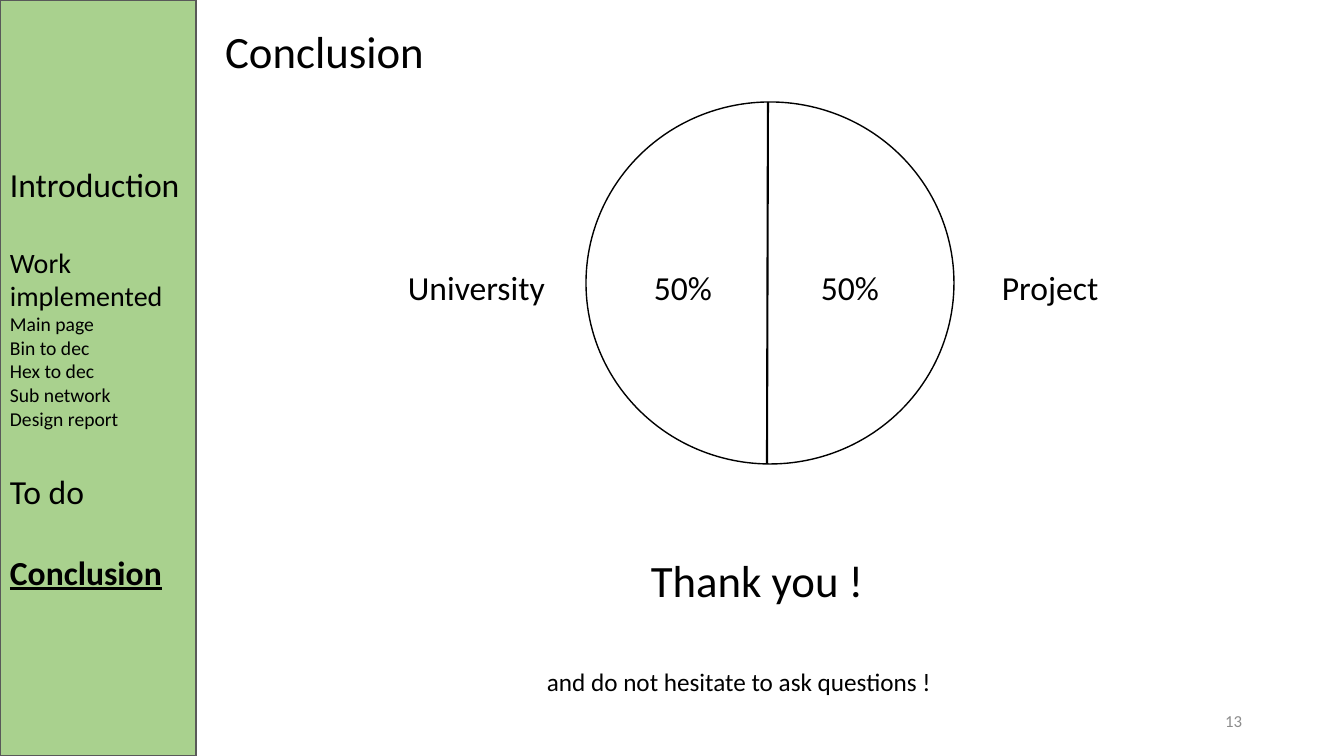
import pptx
import pptx.util
import pptx.dml.color
import pptx.enum.shapes
import pptx.enum.text
import pptx.oxml

# Content
TITLE = "Conclusion"
# text, size in pt, space before in pt, current section
AGENDA = [
    ("Introduction", 24, 0, False),
    ("Work", 20, 29, False),
    ("implemented", 20, 0, False),
    ("Main page", 14, 0, False),
    ("Bin to dec", 14, 0, False),
    ("Hex to dec", 14, 0, False),
    ("Sub network", 14, 0, False),
    ("Design report", 14, 0, False),
    ("To do", 24, 29, False),
    ("Conclusion", 24, 29, True),
]
# text, left, width
SHARES = [("University", 398, 180), ("50%", 644, 86),
          ("50%", 811, 86), ("Project", 992, 180)]
# text, left, top, width, height, size in pt
CLOSING = [("Thank you !", 641, 548, 252, 64, 32),
           ("and do not hesitate to ask questions !", 537, 661, 494, 40, 18)]
PAGE_NUMBER = "13"

FONT = "Calibri"
COLORS = {"text": "000000", "white": "FFFFFF", "sidebar": "A9D18E",
          "sidebar_line": "595959", "page_number": "8C8C8C"}

# Layout in px
WIDTH, HEIGHT = 1344, 756
SIDEBAR_WIDTH = 196
CIRCLE = (586, 102, 368, 362)
SHARE_TOP, SHARE_HEIGHT = 262, 52
EMU_PER_PX = 914400 / 100.8

ANCHOR = pptx.enum.text.MSO_ANCHOR
ALIGN = pptx.enum.text.PP_ALIGN
SHAPE = pptx.enum.shapes.MSO_SHAPE


def px(*lengths):
    return [pptx.util.Emu(round(length * EMU_PER_PX)) for length in lengths]


def rgb(name):
    return pptx.dml.color.RGBColor.from_string(COLORS[name])


def add_run(paragraph, text, size, color="text"):
    run = paragraph.add_run()
    run.text = text
    run.font.name = FONT
    run.font.size = pptx.util.Pt(size)
    run.font.color.rgb = rgb(color)
    return run


def add_label(slide, text, box, size, color="text",
              align=ALIGN.LEFT, anchor=ANCHOR.TOP):
    frame = slide.shapes.add_textbox(*px(*box)).text_frame
    frame.word_wrap = True
    frame.vertical_anchor = anchor
    frame.paragraphs[0].alignment = align
    add_run(frame.paragraphs[0], text, size, color)


def add_outlined(slide, kind, box, fill, line):
    shape = slide.shapes.add_shape(kind, *px(*box))
    shape.shadow.inherit = False
    shape.fill.solid()
    shape.fill.fore_color.rgb = rgb(fill)
    shape.line.color.rgb = rgb(line)
    shape.line.width = pptx.util.Pt(1)
    return shape


def add_title(slide):
    title = slide.shapes.title
    title.left, title.top, title.width, title.height = px(215, 19, 1012, 64)
    frame = title.text_frame
    frame.auto_size = pptx.enum.text.MSO_AUTO_SIZE.NONE
    frame.vertical_anchor = ANCHOR.TOP
    frame.paragraphs[0].alignment = ALIGN.LEFT
    add_run(frame.paragraphs[0], TITLE, 32)


def add_sidebar(slide):
    sidebar = add_outlined(slide, SHAPE.RECTANGLE, (0, 0, SIDEBAR_WIDTH, HEIGHT),
                           "sidebar", "sidebar_line")
    frame = sidebar.text_frame
    frame.vertical_anchor = ANCHOR.MIDDLE
    for index, (text, size, space, current) in enumerate(AGENDA):
        paragraph = frame.add_paragraph() if index else frame.paragraphs[0]
        paragraph.alignment = ALIGN.LEFT
        paragraph.space_before = pptx.util.Pt(space)
        run = add_run(paragraph, text, size)
        if current:
            run.font.bold = True
            run.font.underline = True


def add_split_circle(slide):
    left, top, width, height = CIRCLE
    add_outlined(slide, SHAPE.OVAL, CIRCLE, "white", "text")
    middle = left + width // 2 - 2
    divider = slide.shapes.add_connector(
        pptx.enum.shapes.MSO_CONNECTOR.STRAIGHT,
        *px(middle, top, middle - 1, top + height))
    divider.line.color.rgb = rgb("text")
    divider.line.width = pptx.util.Pt(1.5)
    properties = divider._element.spPr
    properties.append(properties.makeelement(pptx.oxml.ns.qn("a:effectLst"), {}))
    for text, label_left, label_width in SHARES:
        add_label(slide, text, (label_left, SHARE_TOP, label_width, SHARE_HEIGHT), 24)


def main():
    presentation = pptx.Presentation()
    presentation.slide_width, presentation.slide_height = px(WIDTH, HEIGHT)
    slide = presentation.slides.add_slide(presentation.slide_layouts[5])

    add_title(slide)
    add_sidebar(slide)
    add_split_circle(slide)

    # Closing words and page number
    for text, left, top, width, height, size in CLOSING:
        add_label(slide, text, (left, top, width, height), size)
    add_label(slide, PAGE_NUMBER, (950, 701, 302, 40), 12, "page_number",
              ALIGN.RIGHT, ANCHOR.MIDDLE)

    presentation.save("out.pptx")


if __name__ == "__main__":
    main()
